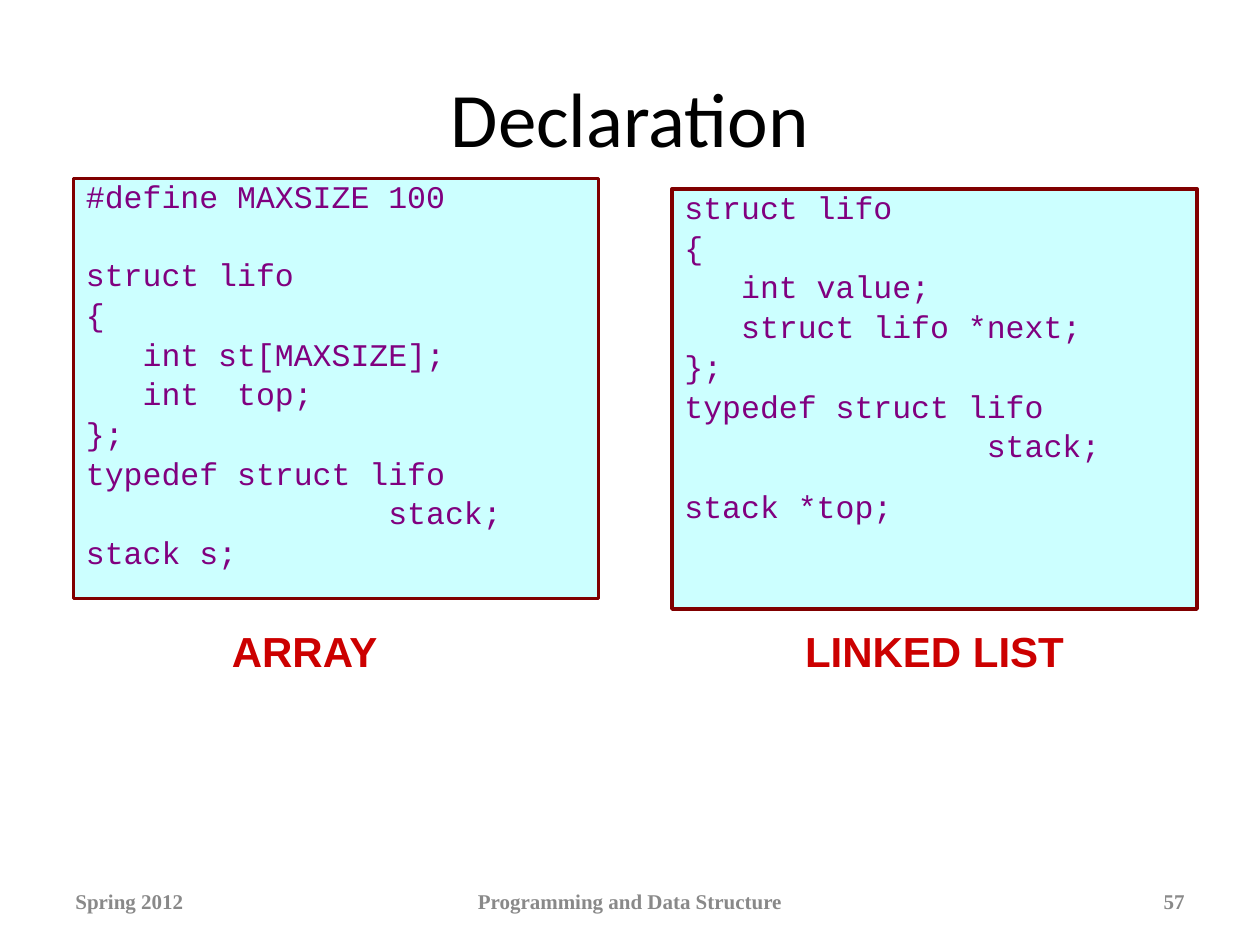
from pptx import Presentation
from pptx.dml.color import RGBColor
from pptx.enum.shapes import MSO_SHAPE as Shape
from pptx.enum.text import MSO_ANCHOR as Anchor, PP_ALIGN as Align
from pptx.util import Inches, Pt

BLACK = RGBColor(0x00, 0x00, 0x00)
GREY = RGBColor(0x89, 0x89, 0x89)
RED = RGBColor(0xCC, 0x00, 0x00)
MAROON = RGBColor(0x80, 0x00, 0x00)
PURPLE = RGBColor(0x80, 0x00, 0x80)
PALE_CYAN = RGBColor(0xCC, 0xFF, 0xFF)

# The slide is a grid of 120 columns by 90 rows, 12 to the inch
COLUMNS, ROWS = 120, 90

TITLE = dict(name="Calibri", size=Pt(44), bold=False)
CODE = dict(name="Courier New", size=Pt(18), bold=False)
CAPTION = dict(name="Arial", size=Pt(24), bold=True)
FOOTER = dict(name="Times New Roman", size=Pt(12), bold=True)

# Each line of code with the space before it, in points
LINE_GAP, SECTION_GAP, BLANK_LINE_GAP = 5.4, 17.4, 27.1
ARRAY_CODE = [
    ("#define MAXSIZE 100", 0),
    ("struct lifo", BLANK_LINE_GAP),
    ("{", LINE_GAP),
    ("   int st[MAXSIZE];", LINE_GAP),
    ("   int  top;", LINE_GAP),
    ("};", LINE_GAP),
    ("typedef struct lifo", LINE_GAP),
    ("                stack;", LINE_GAP),
    ("stack s;", LINE_GAP),
]
LIST_CODE = [
    ("struct lifo", 0),
    ("{", LINE_GAP),
    ("   int value;", LINE_GAP),
    ("   struct lifo *next;", LINE_GAP),
    ("};", LINE_GAP),
    ("typedef struct lifo", LINE_GAP),
    ("                stack;", LINE_GAP),
    ("stack *top;", SECTION_GAP),
]


def grid(*cells):
    return [Inches(cell / 12) for cell in cells]


def write(paragraph, text, style, color, align=Align.LEFT):
    paragraph.text = text
    paragraph.alignment = align
    for attribute, value in style.items():
        setattr(paragraph.font, attribute, value)
    paragraph.font.color.rgb = color


def add_label(slide, box, text, style, color, align=Align.CENTER):
    frame = slide.shapes.add_textbox(*grid(*box)).text_frame
    frame.word_wrap = True
    frame.vertical_anchor = Anchor.MIDDLE
    write(frame.paragraphs[0], text, style, color, align)


def add_code_panel(slide, box, lines, line_width):
    panel = slide.shapes.add_shape(Shape.RECTANGLE, *grid(*box))
    panel.shadow.inherit = False
    panel.fill.solid()
    panel.fill.fore_color.rgb = PALE_CYAN
    panel.line.color.rgb = MAROON
    panel.line.width = Pt(line_width)
    frame = panel.text_frame
    frame.word_wrap = True
    frame.vertical_anchor = Anchor.TOP
    for number, (code, gap) in enumerate(lines):
        paragraph = frame.add_paragraph() if number else frame.paragraphs[0]
        write(paragraph, code, CODE, PURPLE)
        paragraph.line_spacing = 0.8
        paragraph.space_before = Pt(gap)


def add_footer(slide, box):
    left, top, width, height = box
    side, middle = 28, 38
    parts = [
        (left, side, "Spring 2012", Align.LEFT),
        (left + (width - middle) / 2, middle,
         "Programming and Data Structure", Align.CENTER),
        (left + width - side, side, "57", Align.RIGHT),
    ]
    for x, part_width, text, align in parts:
        add_label(slide, (x, top, part_width, height), text, FOOTER, GREY, align)


def main():
    deck = Presentation()
    deck.slide_width, deck.slide_height = grid(COLUMNS, ROWS)
    slide = deck.slides.add_slide(deck.slide_layouts[6])

    add_label(slide, (6, 3.6, 108, 15), "Declaration", TITLE, BLACK)

    # The two declarations, each with its caption
    add_code_panel(slide, (7, 17, 50, 40), ARRAY_CODE, 2)
    add_code_panel(slide, (64, 18, 50, 40), LIST_CODE, 2.25)
    add_label(slide, (18, 59, 22, 6), "ARRAY", CAPTION, RED)
    add_label(slide, (70, 59, 38, 6), "LINKED LIST", CAPTION, RED)

    add_footer(slide, (6, 83.4, 108, 4.8))
    deck.save("out.pptx")


if __name__ == "__main__":
    main()
